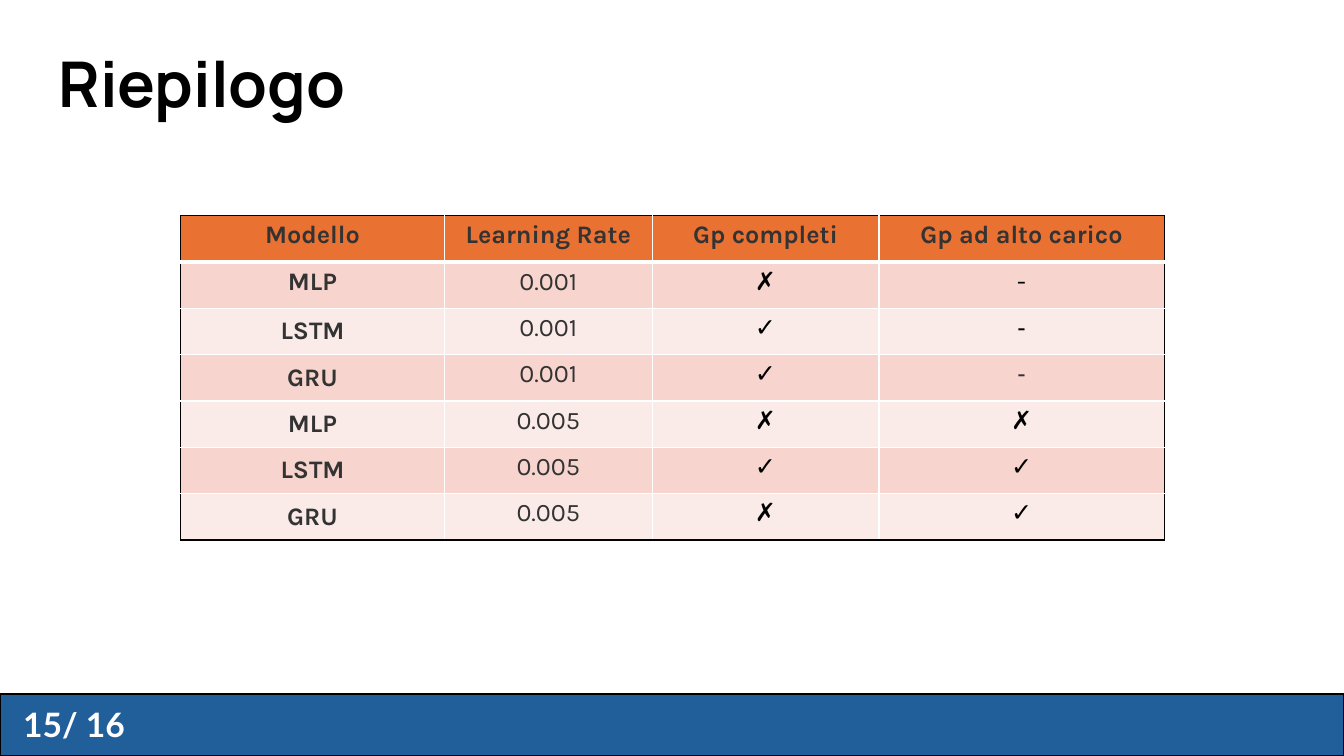
from lxml.etree import SubElement
from pptx import Presentation
from pptx.dml.color import RGBColor
from pptx.enum.shapes import MSO_SHAPE as SHAPE
from pptx.enum.text import MSO_ANCHOR as ANCHOR, MSO_AUTO_SIZE as AUTO, PP_ALIGN as ALIGN
from pptx.oxml.ns import qn
from pptx.util import Pt

BLACK = RGBColor(0x00, 0x00, 0x00)
WHITE = RGBColor(0xFF, 0xFF, 0xFF)
GREY = RGBColor(0x33, 0x33, 0x33)
BLUE = RGBColor(0x21, 0x5F, 0x9A)
ORANGE = RGBColor(0xE9, 0x71, 0x32)
PINK = RGBColor(0xF7, 0xD5, 0xCE)
PALE = RGBColor(0xFB, 0xEB, 0xE8)

COL_WIDTHS = (188.64, 148.32, 162, 203.76)
ROWS = (
    ("Modello", "Learning Rate", "Gp completi", "Gp ad alto carico"),
    ("MLP", "0.001", "✗", "-"),
    ("LSTM", "0.001", "✓", "-"),
    ("GRU", "0.001", "✓", "-"),
    ("MLP", "0.005", "✗", "✗"),
    ("LSTM", "0.005", "✓", "✓"),
    ("GRU", "0.005", "✗", "✓"),
)
ARIAL_CELLS = {(2, 3), (3, 3)}
GREY_MARKS = {(3, 3)}


def write(tf, text, color, **formats):
    """Put one line of formatted text into a text frame."""
    p = tf.paragraphs[0]
    r = p.add_run()
    r.text = text
    r.font.color.rgb = color
    for name, value in formats.items():
        setattr(r.font, name, value)
    return p


def set_frame(tf, **formats):
    """Apply format values to a text frame."""
    for name, value in formats.items():
        setattr(tf, name, value)


def place(sp, left, top, width, height):
    """Move a shape to a box given in points."""
    sp.left, sp.top, sp.width, sp.height = map(Pt, (left, top, width, height))


def add_title(s, text, left, top, width, height):
    """Fill and place the title placeholder."""
    sp = s.shapes.title
    place(sp, left, top, width, height)
    set_frame(sp.text_frame, vertical_anchor=ANCHOR.TOP, word_wrap=False,
              auto_size=AUTO.SHAPE_TO_FIT_TEXT)
    p = write(sp.text_frame, text, BLACK, name="Manrope", size=Pt(45), bold=True)
    p.alignment = ALIGN.LEFT


def add_footer(s, text, left, top, width, height):
    """Draw the footer band with the page count."""
    band = s.shapes.add_shape(SHAPE.PARALLELOGRAM, *map(Pt, (left, top, width, height)))
    band.adjustments[0] = 0
    band.shadow.inherit = False
    band.fill.solid()
    band.fill.fore_color.rgb = BLUE
    band.line.color.rgb = BLACK
    band.line.width = Pt(1.5)
    box = s.shapes.add_textbox(*map(Pt, (left + 9.36, top + 3.6, 87.12, 36)))
    set_frame(box.text_frame, word_wrap=True, auto_size=AUTO.SHAPE_TO_FIT_TEXT)
    write(box.text_frame, text, WHITE, name="Lato", size=Pt(24), bold=True)


def set_borders(cell, row, col):
    """Give a cell white inner borders and a black outer frame."""
    last_row, last_col = len(ROWS) - 1, len(COL_WIDTHS) - 1
    borders = {
        "a:lnL": (BLACK if col == 0 else WHITE, 1),
        "a:lnR": (BLACK if col == last_col else WHITE, 1),
        "a:lnT": (BLACK if row == 0 else WHITE, 3 if row == 1 else 1),
        "a:lnB": (BLACK if row == last_row else WHITE, 3 if row == 0 else 1),
    }
    tc_pr = cell._tc.get_or_add_tcPr()
    for tag, (color, width) in borders.items():
        ln = SubElement(tc_pr, qn(tag), w=str(Pt(width)))
        fill = SubElement(ln, qn("a:solidFill"))
        SubElement(fill, qn("a:srgbClr"), val=str(color))


def fill_cell(cell, row, col, text):
    """Format one table cell by its row and column."""
    set_borders(cell, row, col)
    cell.fill.solid()
    cell.fill.fore_color.rgb = ORANGE if row == 0 else PINK if row % 2 else PALE
    cell.vertical_anchor = ANCHOR.MIDDLE if col == 0 and row > 1 else ANCHOR.TOP
    mark = row > 0 and col > 1 and (row, col) not in GREY_MARKS
    p = write(cell.text_frame, text, BLACK if mark else GREY,
              name="Arial" if (row, col) in ARIAL_CELLS else "Karla",
              size=Pt(18), bold=row == 0 or col == 0)
    p.alignment = ALIGN.CENTER


def add_summary(s, left, top, row_height):
    """Build the summary table of the models."""
    box = map(Pt, (left, top, sum(COL_WIDTHS), row_height * len(ROWS)))
    table = s.shapes.add_table(len(ROWS), len(COL_WIDTHS), *box).table
    for column, width in zip(table.columns, COL_WIDTHS):
        column.width = Pt(width)
    for row, texts in enumerate(ROWS):
        table.rows[row].height = Pt(row_height)
        for col, text in enumerate(texts):
            fill_cell(table.cell(row, col), row, col, text)


def main():
    """Build and save the slide."""
    prs = Presentation()
    prs.slide_width, prs.slide_height = Pt(960), Pt(540)
    s = prs.slides.add_slide(prs.slide_layouts[5])
    add_footer(s, "15/ 16", 0, 496, 960, 44)
    add_title(s, "Riepilogo", 34.56, 28, 229, 62)
    add_summary(s, 128.88, 154, 33.12)
    prs.save("out.pptx")


if __name__ == "__main__":
    main()
